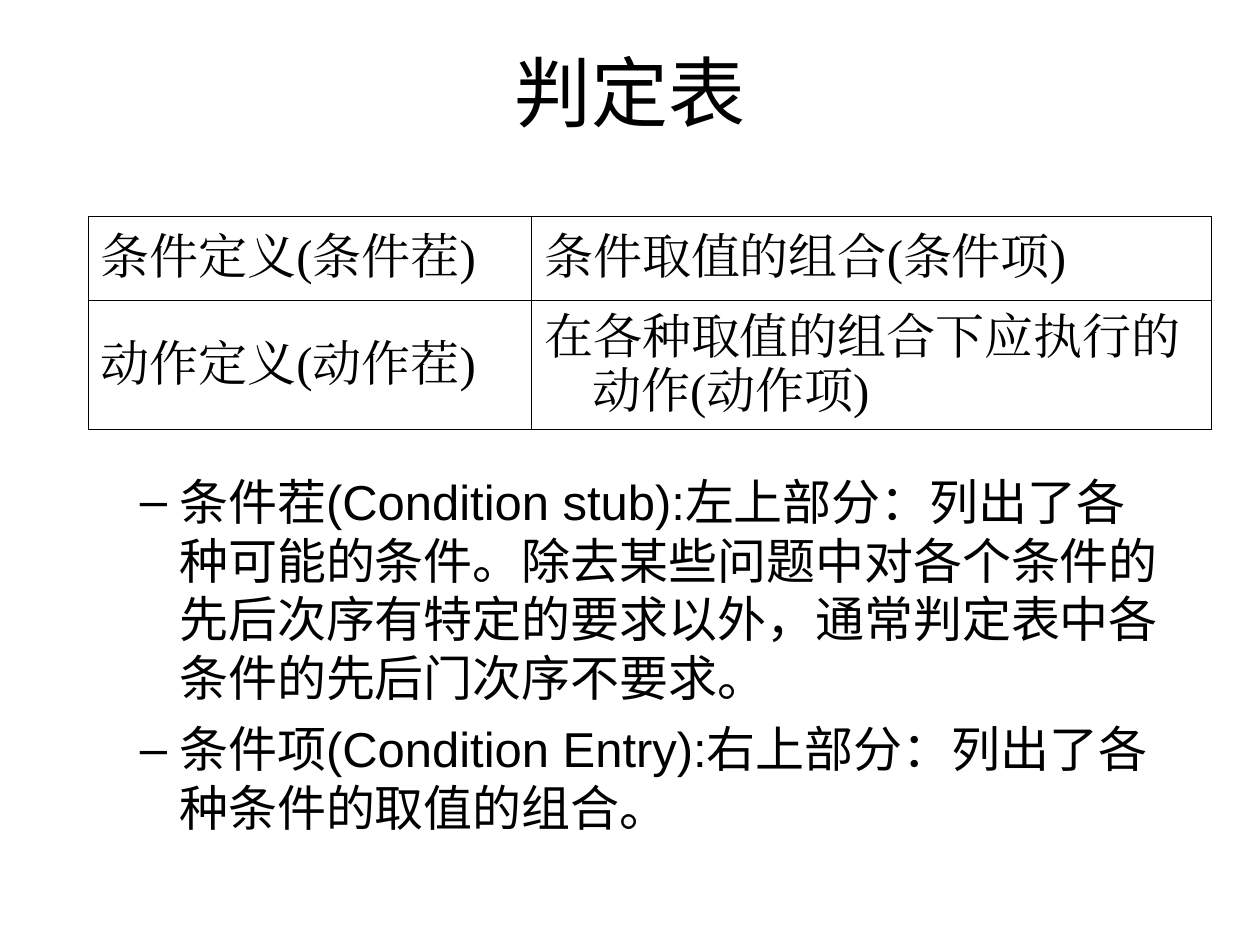
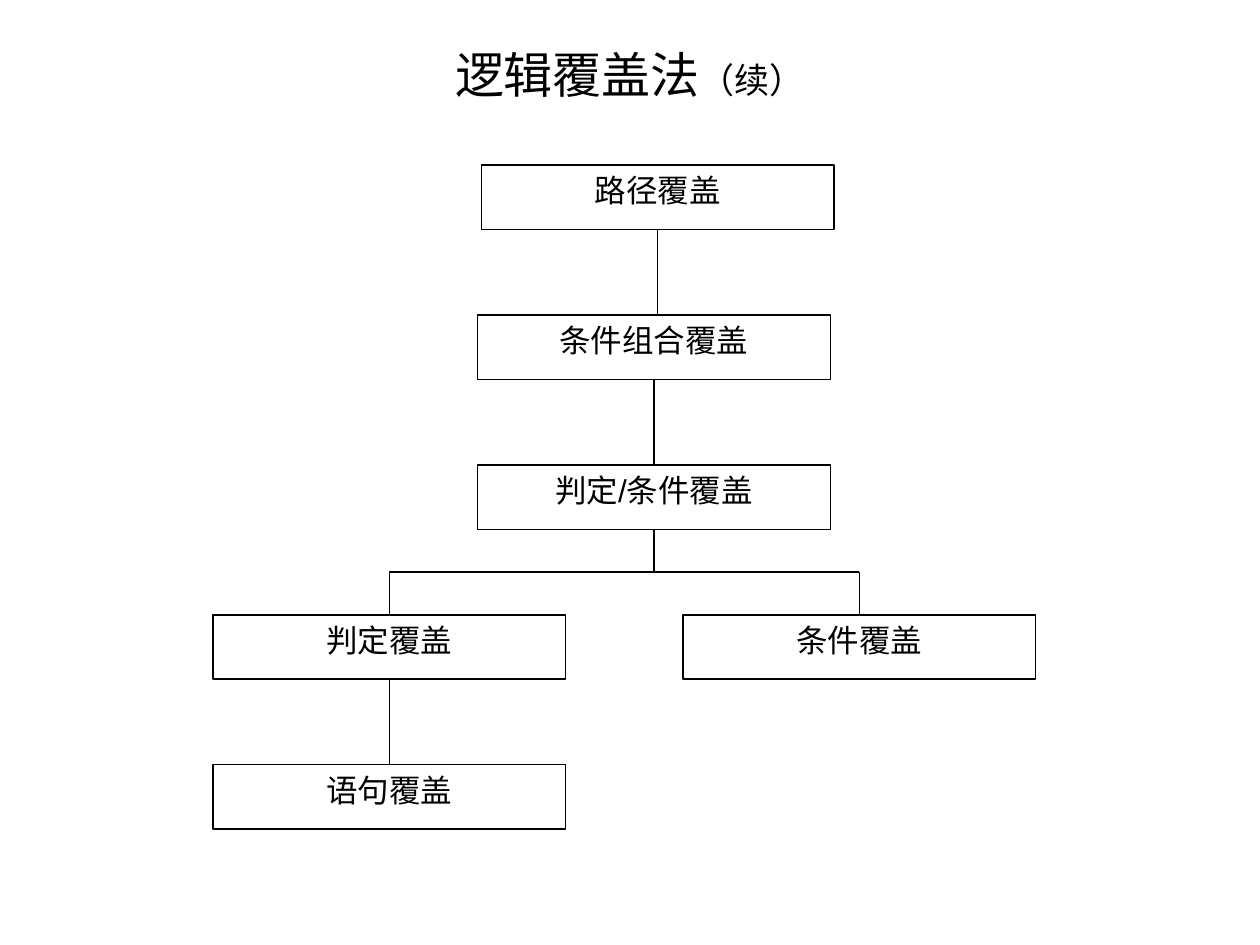
"""Build two slides on decision tables and logic coverage."""
from dataclasses import dataclass

from pptx import Presentation
from pptx.dml.color import RGBColor
from pptx.enum.shapes import MSO_CONNECTOR as Connector, MSO_SHAPE as Shape
from pptx.enum.text import MSO_ANCHOR as Anchor, MSO_AUTO_SIZE as AutoSize, PP_ALIGN as Align
from pptx.oxml import parse_xml
from pptx.oxml.ns import nsdecls, qn
from pptx.slide import Slide
from pptx.util import Inches, Pt

BLACK = RGBColor(0x00, 0x00, 0x00)
WHITE = RGBColor(0xFF, 0xFF, 0xFF)
SANS = "Arial"
SERIF = "Times New Roman"

BOX_WIDTH, BOX_HEIGHT = 2.8, 0.51
FIRST_ROW, ROW_STEP = 1.31, 1.19
BRANCH_Y = 4.54
BORDER_WIDTH = 0.34
HANGING = 0.38

TABLE_ROWS = [
    ["条件定义(条件茬)", "条件取值的组合(条件项)"],
    ["动作定义(动作茬)", "在各种取值的组合下应执行的动作(动作项)"],
]
COLUMN_WIDTHS = [3.52, 5.39]
ROW_HEIGHTS = [0.66, 1.03]
DEFINITIONS = [
    "条件茬(Condition stub):左上部分：列出了各种可能的条件。除去某些问题中对各个条件的"
    "先后次序有特定的要求以外，通常判定表中各条件的先后门次序不要求。",
    "条件项(Condition Entry):右上部分：列出了各种条件的取值的组合。",
]


@dataclass(frozen=True)
class CoverageBox:
    label: str
    left: float
    row: int

    @property
    def top(self) -> float:
        return FIRST_ROW + self.row * ROW_STEP

    @property
    def bottom(self) -> float:
        return self.top + BOX_HEIGHT

    @property
    def center(self) -> float:
        return self.left + BOX_WIDTH / 2


PATH_BOX = CoverageBox("路径覆盖", 3.82, 0)
COMBINATION = CoverageBox("条件组合覆盖", 3.79, 1)
DECISION_CONDITION = CoverageBox("判定/条件覆盖", 3.79, 2)
DECISION = CoverageBox("判定覆盖", 1.69, 3)
CONDITION = CoverageBox("条件覆盖", 5.42, 3)
STATEMENT = CoverageBox("语句覆盖", 1.69, 4)
BOXES = [PATH_BOX, COMBINATION, DECISION_CONDITION, DECISION, CONDITION, STATEMENT]
DIRECT_LINKS = [(PATH_BOX, COMBINATION), (COMBINATION, DECISION_CONDITION), (DECISION, STATEMENT)]


def apply_format(target, values: dict) -> None:
    for name, value in values.items():
        setattr(target, name, value)


def add_span(para, text: str, size: float, font_name: str = SANS) -> None:
    span = para.add_run()
    span.text = text
    apply_format(span.font, {"name": font_name, "size": Pt(size)})
    span.font.color.rgb = BLACK
    east_asian = parse_xml(f'<a:ea {nsdecls("a")} typeface="{font_name}"/>')
    span.font._element.find(qn("a:latin")).addnext(east_asian)


def place(shape, left: float, top: float, width: float, height: float) -> None:
    values = {"left": left, "top": top, "width": width, "height": height}
    apply_format(shape, {name: Inches(value) for name, value in values.items()})


def add_page(deck, layout_index: int, title_parts: list[tuple[str, float]]) -> Slide:
    page = deck.slides.add_slide(deck.slide_layouts[layout_index])
    title = page.shapes.title
    place(title, 0.5, 0.3, 9, 1.25)
    apply_format(title.text_frame, {"vertical_anchor": Anchor.TOP, "auto_size": AutoSize.NONE})
    para = title.text_frame.paragraphs[0]
    para.alignment = Align.CENTER
    for text, size in title_parts:
        add_span(para, text, size)
    return page


def fill_definitions(page: Slide) -> None:
    body = page.placeholders[1]
    place(body, 0.51, 2.02, 8.83, 4.73)
    frame = body.text_frame
    apply_format(frame, {"margin_top": Inches(1.72), "auto_size": AutoSize.NONE,
                         "vertical_anchor": Anchor.TOP})
    for index, definition in enumerate(DEFINITIONS):
        para = frame.add_paragraph() if index else frame.paragraphs[0]
        apply_format(para, {"level": 1, "space_before": Pt(7 if index else 0)})
        add_span(para, definition, 28)


def add_borders(cell) -> None:
    properties = cell._tc.get_or_add_tcPr()
    for position, side in enumerate(("lnL", "lnR", "lnT", "lnB")):
        properties.insert(position, parse_xml(
            f'<a:{side} {nsdecls("a")} w="{Pt(BORDER_WIDTH)}"><a:solidFill>'
            f'<a:srgbClr val="{BLACK}"/></a:solidFill></a:{side}>'))


def add_decision_table(page: Slide) -> None:
    frame = page.shapes.add_table(
        len(ROW_HEIGHTS), len(COLUMN_WIDTHS), Inches(0.7), Inches(1.72),
        Inches(sum(COLUMN_WIDTHS)), Inches(sum(ROW_HEIGHTS)))
    table = frame.table
    apply_format(table, {"first_row": False, "horz_banding": False})
    for column, width in zip(table.columns, COLUMN_WIDTHS):
        column.width = Inches(width)
    for row, height, texts in zip(table.rows, ROW_HEIGHTS, TABLE_ROWS):
        row.height = Inches(height)
        for cell, text in zip(row.cells, texts):
            cell.vertical_anchor = Anchor.MIDDLE
            cell.fill.background()
            add_borders(cell)
            para = cell.text_frame.paragraphs[0]
            properties = para._p.get_or_add_pPr()
            properties.set("marL", str(Inches(HANGING)))
            properties.set("indent", str(-Inches(HANGING)))
            add_span(para, text, 28, SERIF)


def add_box(page: Slide, box: CoverageBox) -> None:
    shape = page.shapes.add_shape(Shape.RECTANGLE, Inches(box.left), Inches(box.top),
                                  Inches(BOX_WIDTH), Inches(BOX_HEIGHT))
    shape.shadow.inherit = False
    shape.fill.background()
    shape.line.color.rgb = BLACK
    shape.line.width = Pt(0.75)
    apply_format(shape.text_frame, {"vertical_anchor": Anchor.TOP, "word_wrap": True})
    para = shape.text_frame.paragraphs[0]
    para.alignment = Align.CENTER
    add_span(para, box.label, 18)


def add_line(page: Slide, start: tuple[float, float], end: tuple[float, float]) -> None:
    points = [Inches(value) for value in (*start, *end)]
    line = page.shapes.add_connector(Connector.STRAIGHT, *points)
    line.line.color.rgb = BLACK
    line.line.width = Pt(0.75)
    line._element.spPr.append(parse_xml(f'<a:effectLst {nsdecls("a")}/>'))


def add_coverage_tree(page: Slide) -> None:
    for box in BOXES:
        add_box(page, box)
    for upper, lower in DIRECT_LINKS:
        add_line(page, (upper.center, upper.bottom), (upper.center, lower.top))
    trunk = DECISION_CONDITION
    add_line(page, (trunk.center, trunk.bottom), (trunk.center, BRANCH_Y))
    add_line(page, (DECISION.center, BRANCH_Y), (CONDITION.center, BRANCH_Y))
    for branch in (DECISION, CONDITION):
        add_line(page, (branch.center, BRANCH_Y), (branch.center, branch.top))


def main() -> None:
    deck = Presentation()
    apply_format(deck, {"slide_width": Inches(10), "slide_height": Inches(7.5)})
    background = deck.slide_master.background.fill
    background.solid()
    background.fore_color.rgb = WHITE

    table_page = add_page(deck, 1, [("判定表", 44)])
    fill_definitions(table_page)
    add_decision_table(table_page)

    tree_page = add_page(deck, 5, [("逻辑覆盖法", 28), ("（续）", 20)])
    add_coverage_tree(tree_page)
    deck.save("out.pptx")


if __name__ == "__main__":
    main()
